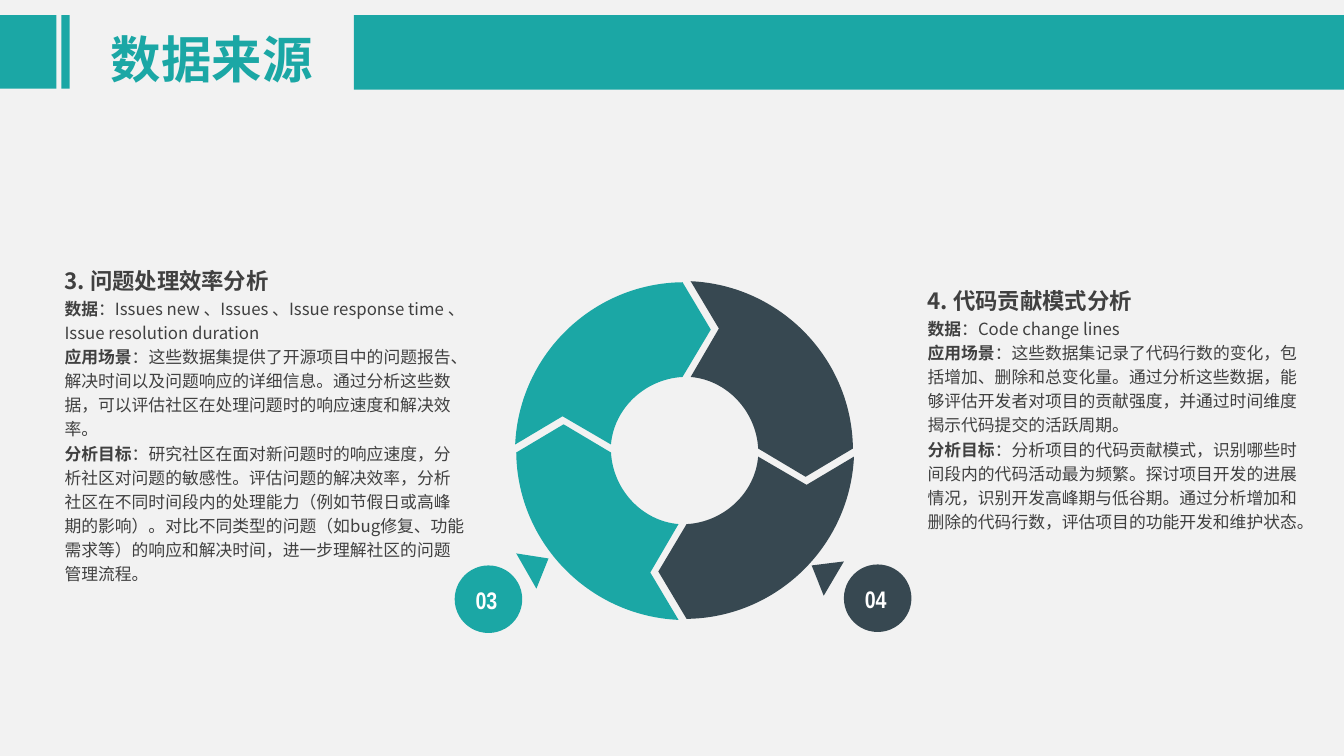
from lxml import etree
from pptx import Presentation
from pptx.dml.color import RGBColor
from pptx.enum.shapes import MSO_SHAPE
from pptx.enum.text import MSO_ANCHOR, MSO_AUTO_SIZE, PP_ALIGN
from pptx.oxml.ns import qn
from pptx.util import Inches, Pt

TEAL = RGBColor(0x1B, 0xA7, 0xA5)
SLATE = RGBColor(0x37, 0x48, 0x51)
INK = RGBColor(0x40, 0x40, 0x40)
PALE = RGBColor(0xF2, 0xF2, 0xF2)
WHITE = RGBColor(0xFF, 0xFF, 0xFF)
RECTANGLE, OVAL = MSO_SHAPE.RECTANGLE, MSO_SHAPE.OVAL
TOP, MIDDLE = MSO_ANCHOR.TOP, MSO_ANCHOR.MIDDLE
LEFT, CENTER = PP_ALIGN.LEFT, PP_ALIGN.CENTER
NO_AUTOSIZE = MSO_AUTO_SIZE.NONE
SANS, NARROW = "Noto Sans CJK SC", "Arial Narrow"

TITLE_FORMAT = {"name": SANS, "size": Pt(36), "bold": True, "color": TEAL}
HEADING_FORMAT = {"name": SANS, "size": Pt(16), "bold": True, "color": INK}
LABEL_FORMAT = {**HEADING_FORMAT, "size": Pt(12)}
BODY_FORMAT = {**LABEL_FORMAT, "bold": False}
NUMBER_FORMAT = {"name": NARROW, "size": Pt(17.1), "bold": True, "color": WHITE}

RING_SEGMENT = [
    (0.26, -1.2), (-0.02, -1.67), (-0.91, -1.66), (-1.64, -0.95), (-1.68, -0.06),
    (-1.21, -0.34), (-0.73, -0.06), (-0.7, -0.42), (-0.39, -0.71), (-0.02, -0.73)]
RING_CURVES = (1, 6)

ISSUES = ("3. 问题处理效率分析", [
    ("数据", "：Issues new 、Issues 、Issue response time 、Issue resolution duration"),
    ("应用场景", "：这些数据集提供了开源项目中的问题报告、解决时间以及问题响应的详细信息。"
     "通过分析这些数据，可以评估社区在处理问题时的响应速度和解决效率。"),
    ("分析目标", "：研究社区在面对新问题时的响应速度，分析社区对问题的敏感性。"
     "评估问题的解决效率，分析社区在不同时间段内的处理能力（例如节假日或高峰期的影响）。"
     "对比不同类型的问题（如bug修复、功能需求等）的响应和解决时间，"
     "进一步理解社区的问题管理流程。"),
])
CONTRIBUTIONS = ("4. 代码贡献模式分析", [
    ("数据", "：Code change lines"),
    ("应用场景", "：这些数据集记录了代码行数的变化，包括增加、删除和总变化量。"
     "通过分析这些数据，能够评估开发者对项目的贡献强度，并通过时间维度揭示代码提交的活跃周期。"),
    ("分析目标", "：分析项目的代码贡献模式，识别哪些时间段内的代码活动最为频繁。"
     "探讨项目开发的进展情况，识别开发高峰期与低谷期。"
     "通过分析增加和删除的代码行数，评估项目的功能开发和维护状态。"),
])


def apply_format(target, values):
    for name, value in values.items():
        setattr(target, name, value)


def add_run(paragraph, text, values):
    run = paragraph.add_run()
    run.text = text
    for name, value in values.items():
        if name == "color":
            run.font.color.rgb = value
        else:
            setattr(run.font, name, value)
    east_asian = etree.SubElement(run.font._element, qn("a:ea"))
    east_asian.set("typeface", values["name"])


def paint(shape, color):
    shape.shadow.inherit = False
    shape.fill.solid()
    shape.fill.fore_color.rgb = color
    shape.line.fill.background()


def add_preset(slide, kind, box, color):
    shape = slide.shapes.add_shape(kind, *map(Inches, box))
    paint(shape, color)
    return shape


def bend(shape, curve_starts):
    lines = list(shape._element.iter(qn("a:lnTo")))
    for start in curve_starts:
        curve = etree.Element(qn("a:cubicBezTo"))
        lines[start].addprevious(curve)
        for line in lines[start:start + 3]:
            curve.append(line[0])
            line.getparent().remove(line)


def add_outline(slide, left, top, points, color, curve_starts=()):
    corners = [(Inches(left + x), Inches(top + y)) for x, y in points]
    builder = slide.shapes.build_freeform(*corners[0])
    builder.add_line_segments(corners[1:], close=True)
    shape = builder.convert_to_shape()
    paint(shape, color)
    bend(shape, curve_starts)


def place(shape, box):
    lengths = map(Inches, box)
    apply_format(shape, dict(zip(("left", "top", "width", "height"), lengths)))


def add_backdrop(slide, width, height):
    backdrop = add_preset(slide, RECTANGLE, (0, 0, width, height), PALE)
    slide.shapes.title._element.addprevious(backdrop._element)


def add_header(slide, left, top, width, height):
    bars = ((0, 0.56, height - 0.01), (0.61, 0.08, height - 0.01),
            (3.51, width - 3.51, height))
    for offset, bar_width, bar_height in bars:
        add_preset(slide, RECTANGLE, (left + offset, top, bar_width, bar_height), TEAL)
    title = slide.shapes.title
    place(title, (left + 1, top, 2.51, height))
    apply_format(title.text_frame, {
        "auto_size": NO_AUTOSIZE, "vertical_anchor": MIDDLE, "word_wrap": True})
    paragraph = title.text_frame.paragraphs[0]
    apply_format(paragraph, {"alignment": LEFT, "line_spacing": 1.2})
    add_run(paragraph, "数据来源", TITLE_FORMAT)


def fill_analysis(placeholder, box, heading, entries):
    place(placeholder, box)
    frame = placeholder.text_frame
    apply_format(frame, {
        "auto_size": NO_AUTOSIZE, "vertical_anchor": TOP, "word_wrap": True,
        "margin_left": 0, "margin_right": 0, "margin_top": 0, "margin_bottom": 0})
    add_run(frame.paragraphs[0], heading, HEADING_FORMAT)
    for label, text in entries:
        paragraph = frame.add_paragraph()
        add_run(paragraph, label, LABEL_FORMAT)
        add_run(paragraph, text, BODY_FORMAT)
    for paragraph in frame.paragraphs:
        apply_format(paragraph, {
            "alignment": LEFT, "line_spacing": 1.2,
            "space_before": Pt(0), "space_after": Pt(0)})
        properties = paragraph._p.get_or_add_pPr()
        properties.set("marL", "0")
        properties.set("indent", "0")
        etree.SubElement(properties, qn("a:buNone"))


def add_ring(slide, left, top, size):
    radius = size / 2
    points = RING_SEGMENT
    for color in (TEAL, SLATE, SLATE, TEAL):
        add_outline(slide, left + radius, top + radius, points, color, RING_CURVES)
        points = [(-y, x) for x, y in points]


def add_badge(slide, left, top, size, number, pointer, color):
    add_preset(slide, OVAL, (left, top, size, size), color)
    add_outline(slide, left, top, pointer, color)
    label_box = (left - 0.01, top + 0.09, size - 0.02, 0.5)
    label = slide.shapes.add_textbox(*map(Inches, label_box))
    apply_format(label.text_frame, {
        "vertical_anchor": MIDDLE, "word_wrap": True,
        "margin_left": 0, "margin_right": 0,
        "margin_top": Inches(0.09), "margin_bottom": Inches(0.09)})
    paragraph = label.text_frame.paragraphs[0]
    paragraph.alignment = CENTER
    add_run(paragraph, number, NUMBER_FORMAT)


def main():
    presentation = Presentation()
    presentation.slide_width = Inches(13.33)
    presentation.slide_height = Inches(7.5)
    slide = presentation.slides.add_slide(presentation.slide_layouts[3])
    add_backdrop(slide, 13.33, 7.5)
    add_header(slide, 0, 0.15, 13.33, 0.74)
    fill_analysis(slide.placeholders[1], (0.64, 2.6, 3.97, 3.23), *ISSUES)
    fill_analysis(slide.placeholders[2], (9.2, 2.8, 3.69, 2.5), *CONTRIBUTIONS)
    add_badge(slide, 8.37, 5.6, 0.67, "04",
              [(-0.2, 0.31), (0, -0.03), (-0.32, 0.01)], SLATE)
    add_badge(slide, 4.51, 5.61, 0.67, "03",
              [(0.61, -0.12), (0.81, 0.23), (0.93, -0.07)], TEAL)
    add_ring(slide, 5.11, 2.79, 3.36)
    presentation.save("out.pptx")


if __name__ == "__main__":
    main()
